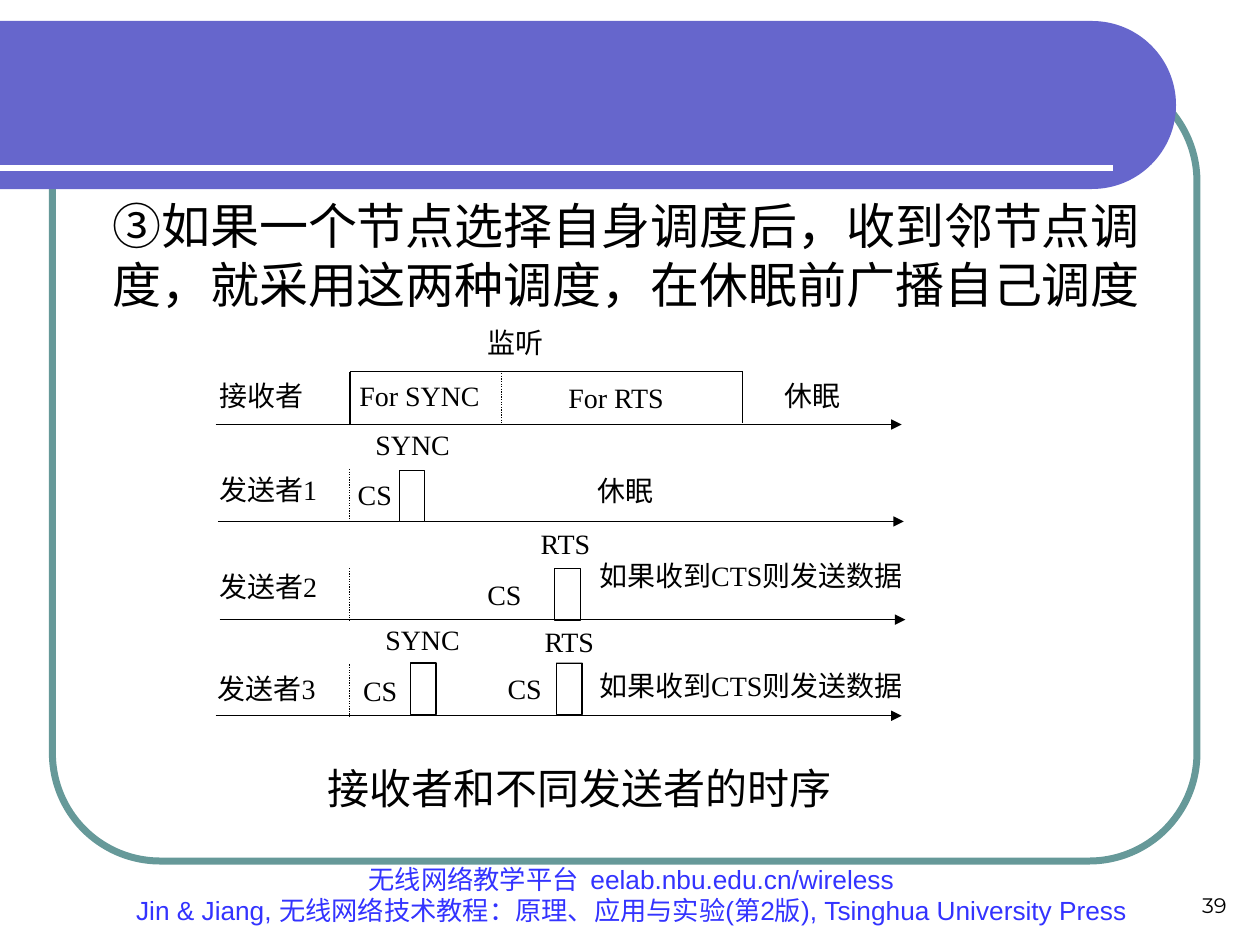
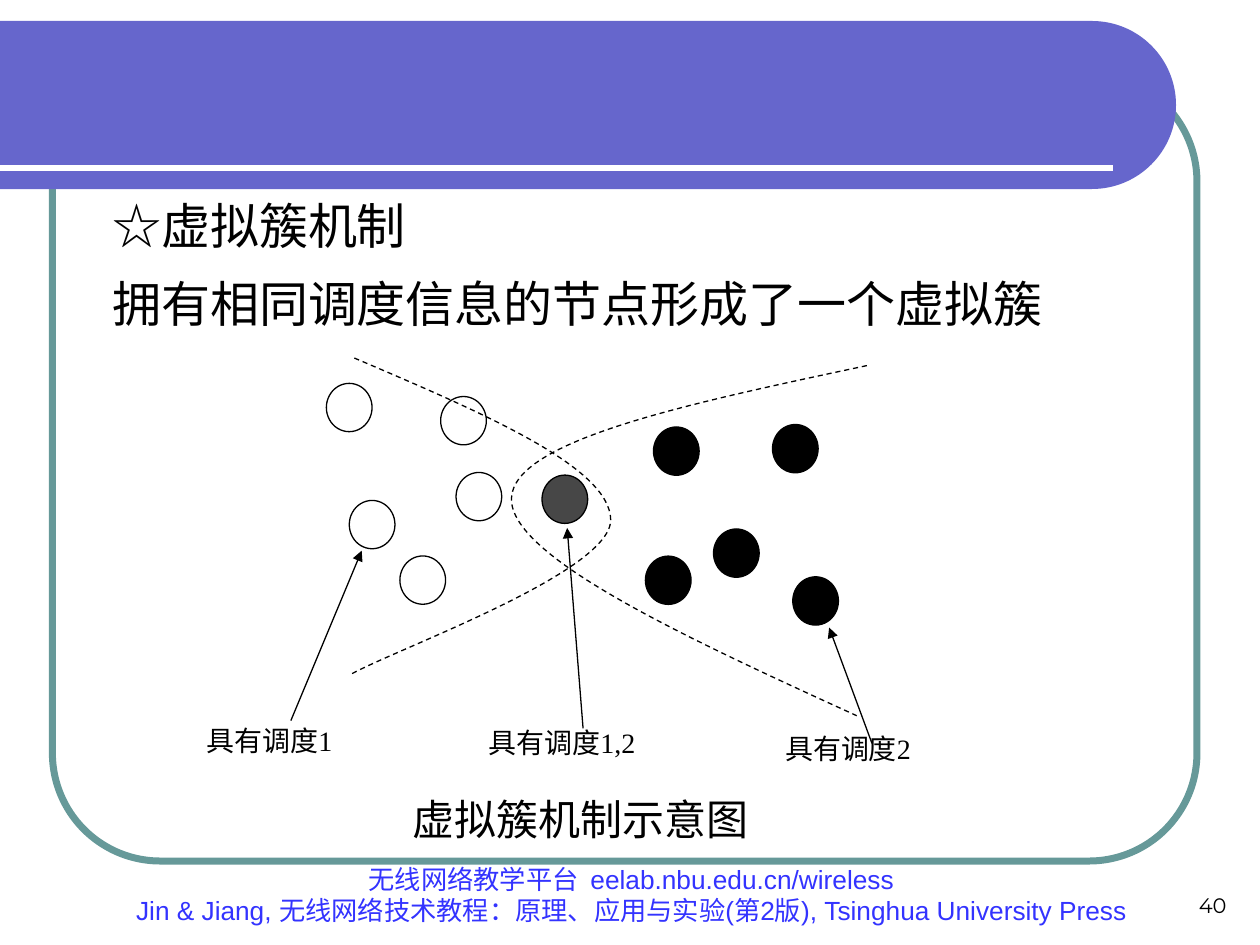
from dataclasses import dataclass

from lxml import etree
from pptx import Presentation
from pptx import util as u
from pptx.dml.color import RGBColor
from pptx.enum import dml, shapes, text
from pptx.oxml.ns import qn


@dataclass(frozen=True)
class Theme:
    """Colours, fonts, type sizes and line widths."""
    band: str = "6666CC"
    frame: str = "669999"
    footer: str = "3333FF"
    ink: str = "000000"
    paper: str = "FFFFFF"
    shared_node: str = "474747"
    sans: str = "Arial"
    serif: str = "Times New Roman"
    number: str = "Montserrat"
    body_size: float = 28
    caption_size: float = 24
    label_size: float = 16
    footer_size: float = 15
    number_size: float = 12
    thin: float = 0.75
    rule: float = 3
    frame_line: float = 4


THEME = Theme()
LABEL_HEIGHT = 21.6
AXIS_LENGTH = 391.9
DOTTED = dml.MSO_LINE.ROUND_DOT
DASHED = dml.MSO_LINE.DASH

LANES = [
    ("接收者", 52, (125.4, 216.6), (123.3, 242.6)),
    ("发送者1", 65, (125.4, 270.2), (124.5, 298)),
    ("发送者2", 65, (125.4, 325.5), (125.5, 354.1)),
    ("发送者3", 65, (124.5, 383.9), (123.3, 409)),
]
EVENT_LABELS = [
    ("监听", 38, [(278.6, 186)]),
    ("休眠", 38, [(448.5, 216.6), (341.4, 270.6)]),
    ("For SYNC", 75, [(205.4, 216.6)]),
    ("For RTS", 59, [(324.8, 217.4)]),
    ("SYNC", 49, [(214.5, 244.6), (220.2, 355.6)]),
    ("RTS", 31, [(309, 301), (311.2, 357.1)]),
    ("CS", 21, [(204.4, 272.8), (278.5, 329.9), (207.5, 385.1), (290, 384)]),
    ("如果收到CTS则发送数据", 194.4, [(342.6, 319), (342.6, 381.8)]),
]
PACKETS = [(228.1, 268.7), (317, 324.9), (318, 378.8), (234.6, 378.8)]

CLUSTERS = [
    (THEME.paper, [(186.5, 219.1), (251.8, 226.6), (199.6, 286),
                   (260.6, 270), (228.5, 317.7)]),
    (THEME.shared_node, [(309.7, 271.5)]),
    (THEME.ink, [(373.4, 244), (368.8, 317.8), (441.4, 242.6),
                 (407.7, 302.3), (453, 329.6)]),
]
CLUSTER_EDGES = [
    [(202.5, 204.6), (276, 236), (349, 267), (349, 297.3),
     (348.5, 327.5), (224.5, 371.5), (199.5, 385.9)],
    [(495.4, 208.9), (394.5, 230.4), (293, 251.5), (292.3, 284.9),
     (291.6, 318), (390, 363.5), (489.6, 409)],
]
NODE_LABELS = [
    ("具有调度1", (118.1, 413.3), (166.2, 411.8), (206.7, 314.7)),
    ("具有调度1,2", (279.2, 414.8), (333.2, 416.2), (324.1, 301.7)),
    ("具有调度2", (448.7, 417.8), (498.3, 424.8), (473.8, 358.6)),
]


def points(*values):
    """Convert numbers to lengths in points."""
    return [u.Pt(value) for value in values]


def style_line(line, color, width, dash=None):
    """Set the colour, width and dash of a line."""
    line.color.rgb = RGBColor.from_string(color)
    line.width = u.Pt(width)
    if dash:
        line.dash_style = dash


def style_shape(shape, fill=None, line=None, width=THEME.thin, dash=None):
    """Give a shape its fill and outline, without a shadow."""
    shape.shadow.inherit = False
    if fill:
        shape.fill.solid()
        shape.fill.fore_color.rgb = RGBColor.from_string(fill)
    else:
        shape.fill.background()
    if line:
        style_line(shape.line, line, width, dash)
    else:
        shape.line.fill.background()
    return shape


def add_preset(parent, kind, box, **style):
    """Add a styled preset shape."""
    return style_shape(parent.shapes.add_shape(kind, *points(*box)), **style)


def add_outline(parent, vertices, curve_starts, closed=False, **style):
    """Add a freeform, turning three segments from each start into a Bézier curve."""
    first, *others = [points(*vertex) for vertex in vertices]
    builder = parent.shapes.build_freeform(*first)
    builder.add_line_segments(others, close=closed)
    shape = style_shape(builder.convert_to_shape(), **style)
    segments = list(shape._element.iter(qn("a:lnTo")))
    for start in curve_starts:
        bezier = etree.Element(qn("a:cubicBezTo"))
        segments[start].addprevious(bezier)
        for segment in segments[start:start + 3]:
            bezier.append(segment[0])
            segment.getparent().remove(segment)


def add_line(parent, start, end, color=THEME.ink, width=THEME.thin, dash=None, arrow=False):
    """Add a straight line, with an optional arrowhead at its end."""
    line = parent.shapes.add_connector(shapes.MSO_CONNECTOR.STRAIGHT, *points(*start, *end))
    style_line(line.line, color, width, dash)
    if arrow:
        etree.SubElement(line.line._get_or_add_ln(), qn("a:tailEnd"), type="triangle")
    etree.SubElement(line._element.spPr, qn("a:effectLst"))


def write_paragraph(paragraph, content, font=THEME.serif, size=THEME.label_size,
                    color=THEME.ink, align=text.PP_ALIGN.LEFT, before=0):
    """Write one formatted paragraph."""
    paragraph.alignment = align
    paragraph.space_before = u.Pt(before)
    run = paragraph.add_run()
    run.text = content
    run.font.name = font
    run.font.size = u.Pt(size)
    run.font.color.rgb = RGBColor.from_string(color)


def fill_frame(frame, lines, margins=(7.2, 3.6), anchor=text.MSO_ANCHOR.TOP, **style):
    """Write one paragraph for each line into a text frame."""
    frame.word_wrap = True
    frame.vertical_anchor = anchor
    frame.margin_left = frame.margin_right = u.Pt(margins[0])
    frame.margin_top = frame.margin_bottom = u.Pt(margins[1])
    for index, line in enumerate(lines):
        paragraph = frame.add_paragraph() if index else frame.paragraphs[0]
        write_paragraph(paragraph, line, **style)


def add_text(parent, lines, box, **style):
    """Add a text box."""
    fill_frame(parent.shapes.add_textbox(*points(*box)).text_frame, lines, **style)


def add_label(parent, content, place, width, height=LABEL_HEIGHT):
    """Add a diagram label in a white rectangle without margins."""
    label = add_preset(parent, shapes.MSO_SHAPE.RECTANGLE, (*place, width, height),
                       fill=THEME.paper)
    fill_frame(label.text_frame, [content], margins=(0, 0), align=text.PP_ALIGN.JUSTIFY)


def add_caption(slide, content, box, **style):
    """Add the caption below a diagram."""
    add_text(slide, [content], box, anchor=text.MSO_ANCHOR.MIDDLE,
             size=THEME.caption_size, **style)


def add_band(slide):
    """Draw the frame, the round-ended band and its rule."""
    group = slide.shapes.add_group_shape()
    height, corner = 450, 61.65
    frame = add_preset(group, shapes.MSO_SHAPE.ROUNDED_RECTANGLE, (30, 42, 654, height),
                       line=THEME.frame, width=THEME.frame_line)
    frame.adjustments[0] = corner / height
    add_outline(group, [(0, 12), (624, 12), (650.5, 12), (672, 33.5), (672, 60),
                        (672, 86.5), (650.5, 108), (624, 108), (0, 108)],
                (1, 4), closed=True, fill=THEME.band)
    add_line(group, (0, 96), (636, 96), color=THEME.paper, width=THEME.rule)


def add_footer(slide, number):
    """Add the course footer and the slide number."""
    add_text(slide, ["无线网络教学平台  eelab.nbu.edu.cn/wireless",
                     "Jin & Jiang, 无线网络技术教程：原理、应用与实验(第2版), Tsinghua University Press"],
             (55.5, 502.6, 610.5, 30.2), anchor=text.MSO_ANCHOR.BOTTOM, font=THEME.sans,
             size=THEME.footer_size, color=THEME.footer, align=text.PP_ALIGN.CENTER)
    add_text(slide, [str(number)], (540, 492, 168, 36), anchor=text.MSO_ANCHOR.BOTTOM,
             font=THEME.number, size=THEME.number_size, align=text.PP_ALIGN.RIGHT)


def add_slide(presentation, number, body_lines, body_height):
    """Add a slide with the shared parts and its body text."""
    slide = presentation.slides.add_slide(presentation.slide_layouts[1])
    title = slide.shapes.title._element
    title.getparent().remove(title)
    add_band(slide)
    add_footer(slide, number)
    body = slide.placeholders[1]
    body.left, body.top, body.width, body.height = points(30, 108, 642, body_height)
    frame = body.text_frame
    frame.auto_size = text.MSO_AUTO_SIZE.NONE
    for index, (line, font) in enumerate(body_lines):
        paragraph = frame.add_paragraph() if index else frame.paragraphs[0]
        properties = paragraph._p.get_or_add_pPr()
        properties.set("marL", str(u.Pt(27)))
        properties.set("indent", "0")
        etree.SubElement(properties, qn("a:buNone"))
        write_paragraph(paragraph, line, font=font, size=THEME.body_size,
                        before=11 if index else 0)
    return slide


def draw_timing(slide):
    """Draw the time axes of the receiver and the three senders."""
    group = slide.shapes.add_group_shape()
    for name, width, place, (left, top) in LANES:
        add_line(group, (left, top), (left + AXIS_LENGTH, top), arrow=True)
        add_label(group, name, place, width)
    for start, end in [((200, 212.5), (200, 242.5)), ((200, 212.5), (424.5, 212.5)),
                       ((424.2, 212), (424.2, 242))]:
        add_line(group, start, end)
    for left, top in [(286.4, 211.8), (199.7, 268), (199.7, 324.7), (199.7, 379.7)]:
        add_line(group, (left, top), (left, top + 30.3), dash=DOTTED)
    for place in PACKETS:
        add_preset(group, shapes.MSO_SHAPE.RECTANGLE, (*place, 14.6, 29.4),
                   fill=THEME.paper, line=THEME.ink)
    for name, width, places in EVENT_LABELS:
        for place in places:
            add_label(group, name, place, width)


def draw_clusters(slide):
    """Draw two overlapping virtual clusters and their labels."""
    group = slide.shapes.add_group_shape()
    for fill, places in CLUSTERS:
        for place in places:
            add_preset(group, shapes.MSO_SHAPE.OVAL, (*place, 26.1, 27.6),
                       fill=fill, line=THEME.ink)
    for controls in CLUSTER_EDGES:
        add_outline(group, controls, (0, 3), line=THEME.ink, dash=DASHED)
    for name, place, start, end in NODE_LABELS:
        add_label(group, name, place, 110, 37.5)
        add_line(group, start, end, arrow=True)


def main():
    """Build and save the presentation."""
    presentation = Presentation()
    presentation.slide_width, presentation.slide_height = points(720, 540)

    timing = add_slide(presentation, 39, [
        ("③如果一个节点选择自身调度后，收到邻节点调度，就采用这两种调度，在休眠前广播自己调度",
         THEME.sans)], 366)
    draw_timing(timing)
    add_caption(timing, "接收者和不同发送者的时序", (176, 432, 310, 36),
                font=THEME.sans, align=text.PP_ALIGN.CENTER)

    clusters = add_slide(presentation, 40, [
        ("☆虚拟簇机制", THEME.serif),
        ("拥有相同调度信息的节点形成了一个虚拟簇", THEME.sans)], 96)
    draw_clusters(clusters)
    add_caption(clusters, "虚拟簇机制示意图", (228.6, 450, 210, 36))

    presentation.save("out.pptx")


if __name__ == "__main__":
    main()
